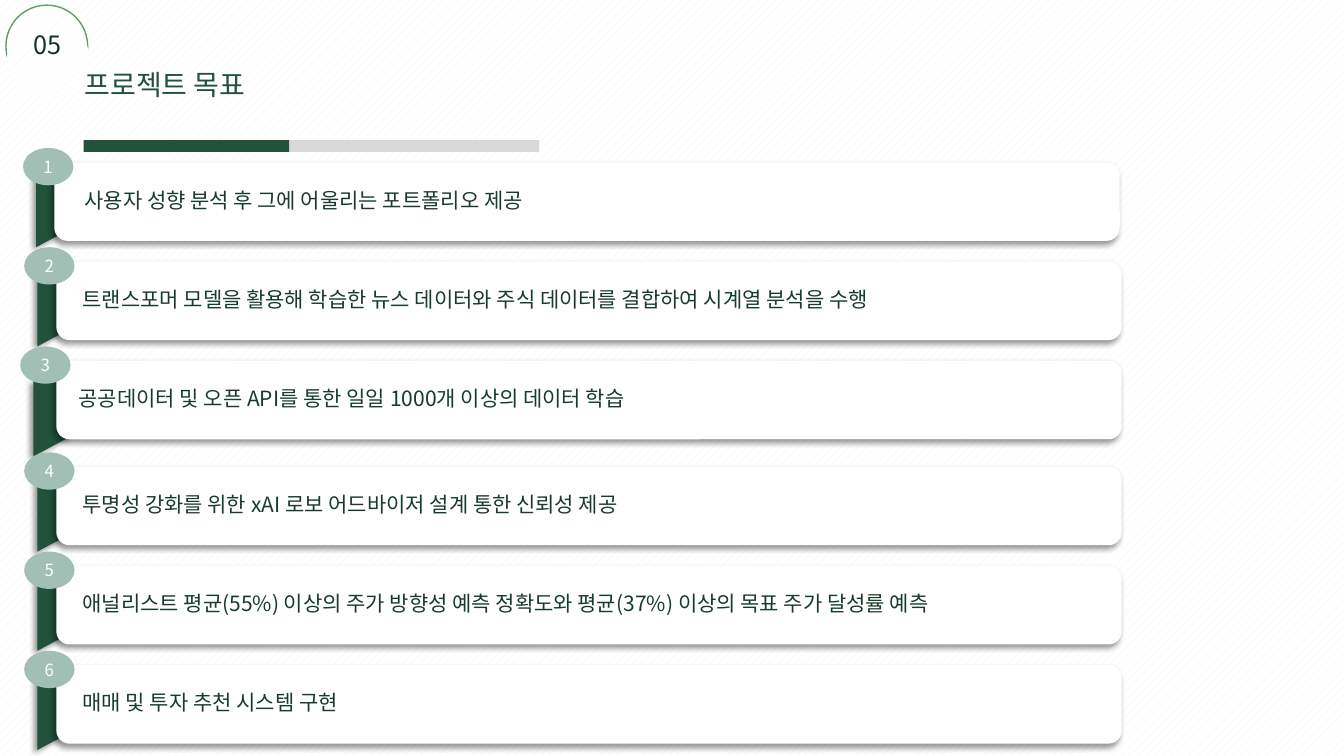
from dataclasses import dataclass

from lxml.etree import SubElement
from pptx import Presentation
from pptx.dml.color import RGBColor
from pptx.enum.dml import MSO_PATTERN
from pptx.enum.shapes import MSO_SHAPE
from pptx.enum.text import MSO_ANCHOR, MSO_AUTO_SIZE, PP_ALIGN
from pptx.oxml.ns import qn
from pptx.util import Cm, Pt

FONT = "Noto Sans CJK KR"
GREEN = RGBColor(0x22, 0x52, 0x3B)
TEXT_GREEN = RGBColor(0x18, 0x3C, 0x2B)
NUMBER_GREEN = RGBColor(0x15, 0x33, 0x25)
ARC_GREEN = RGBColor(0x60, 0x9E, 0x67)
SAGE = RGBColor(0xA1, 0xBF, 0xB4)
GREY = RGBColor(0xD9, 0xD9, 0xD9)
PALE = RGBColor(0xF2, 0xF2, 0xF2)
WHITE = RGBColor(0xFF, 0xFF, 0xFF)

# Vertical rhythm of the goal rows, in centimetres
FIRST_ROW = 4.09
ROW_PITCH = 2.5
MIDDLE_GAP = 0.17


@dataclass
class Goal:
    text: str
    card_left: float = 1.42
    tab_left: float = 1.78
    tab_rise: float = 0.63
    text_left: float = 1.83
    text_width: float = 25.1
    badge_left: float = 0.61


GOALS = [
    Goal("사용자 성향 분석 후 그에 어울리는 포트폴리오 제공",
         card_left=1.37, tab_left=1.75, text_left=1.88, badge_left=0.58),
    Goal("트랜스포머 모델을 활용해 학습한 뉴스 데이터와 주식 데이터를 결합하여 시계열 분석을 수행"),
    Goal("공공데이터 및 오픈 API를 통한 일일 1000개 이상의 데이터 학습",
         tab_left=1.68, tab_rise=0.36, text_left=1.73, badge_left=0.51),
    Goal("투명성 강화를 위한 xAI 로보 어드바이저 설계 통한 신뢰성 제공"),
    Goal("애널리스트 평균(55%) 이상의 주가 방향성 예측 정확도와 평균(37%) 이상의 목표 주가 달성률 예측",
         text_width=26.16),
    Goal("매매 및 투자 추천 시스템 구현"),
]


class GoalSlide:
    def __init__(self, slide, font):
        self.slide = slide
        self.font = font

    def pattern(self, fill, kind):
        fill.patterned()
        fill.pattern = kind
        fill.fore_color.rgb = PALE
        fill.back_color.rgb = WHITE

    def shape(self, kind, left, top, width, height, color=None, line=None):
        """Add a preset shape; without a colour it takes the pale pattern."""
        shape = self.slide.shapes.add_shape(
            kind, Cm(left), Cm(top), Cm(width), Cm(height))
        shape.shadow.inherit = False
        if color is None:
            self.pattern(shape.fill, MSO_PATTERN.PERCENT_5)
        else:
            shape.fill.solid()
            shape.fill.fore_color.rgb = color
        if line is None:
            shape.line.fill.background()
        else:
            shape.line.color.rgb = line
            shape.line.width = Pt(1)
        return shape

    def cast_shadow(self, shape):
        effects = shape._element.spPr.find(qn("a:effectLst"))
        shadow = SubElement(effects, qn("a:outerShdw"), blurRad=str(Pt(4)),
                            dist=str(Pt(3)), dir="8100000", algn="tr",
                            rotWithShape="0")
        color = SubElement(shadow, qn("a:srgbClr"), val="000000")
        SubElement(color, qn("a:alpha"), val="40000")

    def add_run(self, frame, text, size, color, align=PP_ALIGN.LEFT):
        paragraph = frame.paragraphs[0]
        paragraph.alignment = align
        run = paragraph.add_run()
        run.text = text
        run.font.size = Pt(size)
        run.font.color.rgb = color
        run.font.name = self.font
        properties = run._r.get_or_add_rPr()
        SubElement(properties, qn("a:ea"), typeface=self.font)

    def text(self, text, left, top, width, height, size, color,
             align=PP_ALIGN.LEFT):
        box = self.slide.shapes.add_textbox(
            Cm(left), Cm(top), Cm(width), Cm(height))
        box.text_frame.word_wrap = True
        box.text_frame.auto_size = MSO_AUTO_SIZE.SHAPE_TO_FIT_TEXT
        self.add_run(box.text_frame, text, size, color, align)

    def badge(self, number, left, top):
        oval = self.shape(MSO_SHAPE.OVAL, left, top, 1.27, 0.94, SAGE)
        oval.text_frame.vertical_anchor = MSO_ANCHOR.MIDDLE
        self.add_run(oval.text_frame, str(number), 12, WHITE, PP_ALIGN.CENTER)

    def goal(self, number, goal, top):
        tab = self.shape(MSO_SHAPE.RIGHT_TRIANGLE, goal.tab_left,
                         top - goal.tab_rise, 1.93, 3.61, GREEN)
        tab.rotation = 90
        card = self.shape(MSO_SHAPE.ROUNDED_RECTANGLE, goal.card_left, top,
                          26.85, 1.98, WHITE)
        for shape in (tab, card):
            self.cast_shadow(shape)
        self.text(goal.text, goal.text_left, top + 0.5, goal.text_width, 0.89,
                  15, TEXT_GREEN)
        self.badge(number, goal.badge_left, top - 0.36)


def main():
    presentation = Presentation()
    presentation.slide_width = Cm(33.87)
    presentation.slide_height = Cm(19.05)
    slide = presentation.slides.add_slide(presentation.slide_layouts[6])
    page = GoalSlide(slide, FONT)
    page.pattern(slide.background.fill, MSO_PATTERN.PERCENT_20)

    # Section number under an arc
    page.shape(MSO_SHAPE.OVAL, 0.15, 0.13, 2.06, 2.06, line=ARC_GREEN)
    page.shape(MSO_SHAPE.OVAL, 0.18, 0.41, 2.06, 2.06)
    page.text("05", 0.38, 0.61, 1.65, 1.02, 18, NUMBER_GREEN, PP_ALIGN.CENTER)

    # Title and progress bar
    page.text("프로젝트 목표", 1.88, 1.57, 13.16, 1.12, 20, GREEN)
    page.shape(MSO_SHAPE.RECTANGLE, 3.33, 3.53, 10.26, 0.3, GREY)
    page.shape(MSO_SHAPE.RECTANGLE, 2.11, 3.53, 5.18, 0.3, GREEN)

    # Goal rows, with a slightly wider gap after the third
    for index, goal in enumerate(GOALS):
        gap = MIDDLE_GAP if index >= 3 else 0
        page.goal(index + 1, goal, FIRST_ROW + index * ROW_PITCH + gap)

    presentation.save("out.pptx")


if __name__ == "__main__":
    main()
